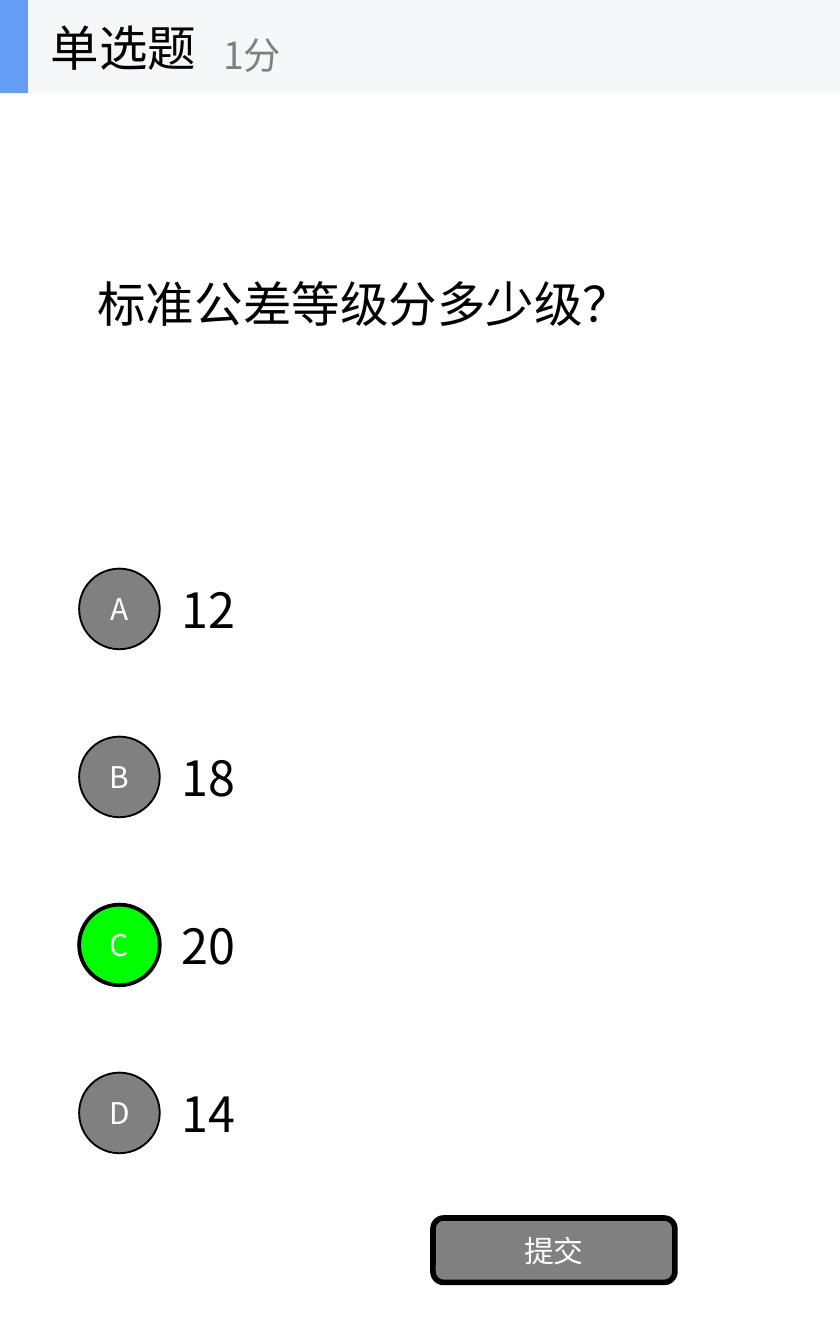
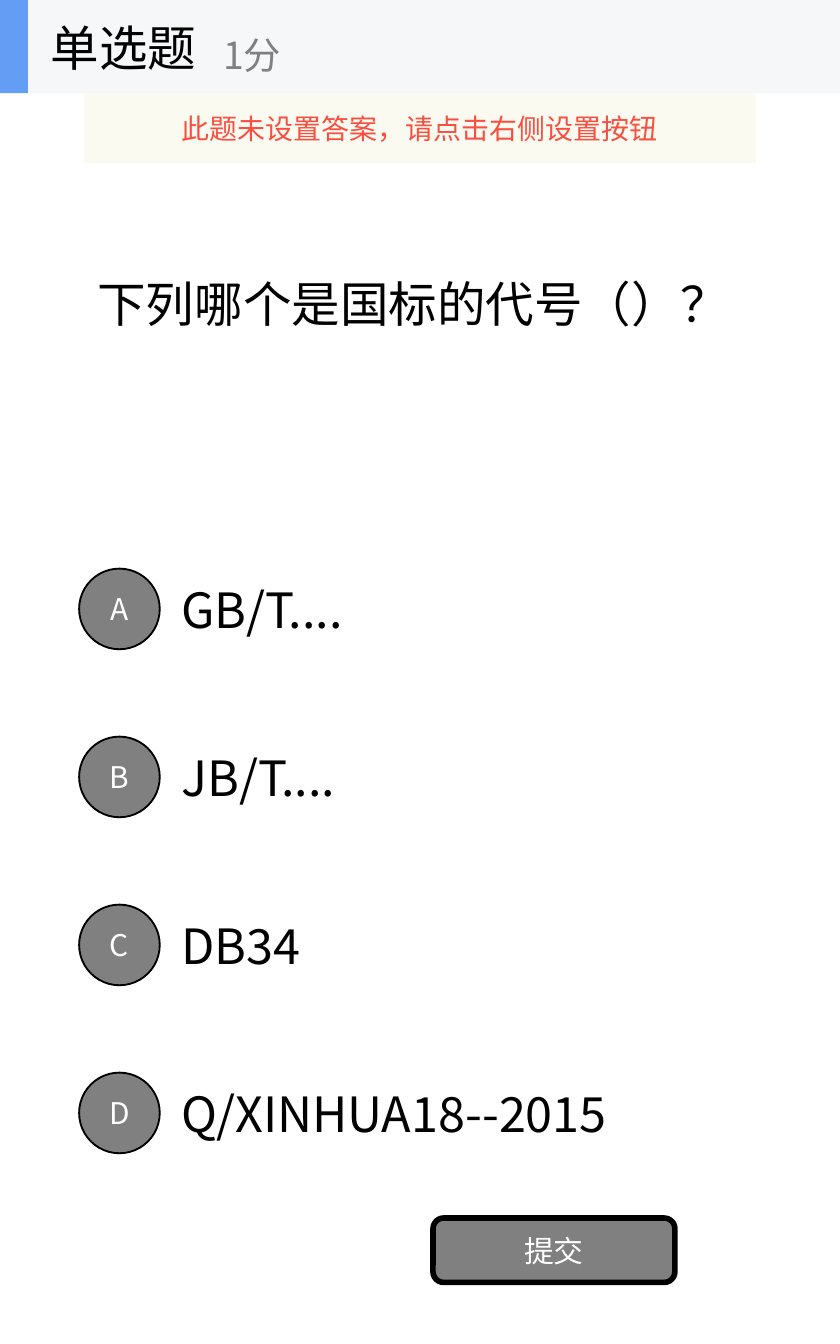
import dataclasses
import typing

import lxml.etree
import pptx
import pptx.dml.color
import pptx.enum.shapes
import pptx.enum.text
import pptx.oxml.ns
import pptx.util

Pt = pptx.util.Pt
PRESET = pptx.enum.shapes.MSO_SHAPE
ALIGN = pptx.enum.text.PP_ALIGN

FONT = "Noto Sans CJK SC"
BLACK, WHITE, GREY = "000000", "FFFFFF", "808080"
BAND, ACCENT, CORRECT = "F6F7F8", "639EF4", "00FF00"
NOTICE_FILL, NOTICE_TEXT = "FBFAEF", "F84F41"

PAGE_WIDTH, PAGE_HEIGHT = 450, 720
BAND_HEIGHT = 50
MARGIN = 45
ANSWER_LEFT, ANSWER_TOP, ANSWER_PITCH = 90, 292.5, 90
ANSWER_WIDTH, ANSWER_HEIGHT = 315, 67.5
BADGE_LEFT, BADGE_SIZE = 42.4, 43.2


class Box(typing.NamedTuple):
    left: float
    top: float
    width: float
    height: float

    def lengths(self) -> list:
        return [Pt(value) for value in self]


@dataclasses.dataclass
class Label:
    text: str
    size: float
    color: str = BLACK
    align: typing.Any = ALIGN.LEFT


@dataclasses.dataclass
class Question:
    prompt: str
    answers: list[str]
    correct: str = ""
    notice: str = ""


QUESTIONS = [
    Question("标准公差等级分多少级？", ["12", "18", "20", "14"], correct="C"),
    Question(
        "下列哪个是国标的代号（）？",
        ["GB/T....", "JB/T....", "DB34", "Q/XINHUA18--2015"],
        notice="此题未设置答案，请点击右侧设置按钮",
    ),
]


def rgb(color: str) -> pptx.dml.color.RGBColor:
    return pptx.dml.color.RGBColor.from_string(color)


def write(shape, label: Label) -> None:
    frame = shape.text_frame
    frame.auto_size = pptx.enum.text.MSO_AUTO_SIZE.NONE
    frame.word_wrap = True
    frame.vertical_anchor = pptx.enum.text.MSO_ANCHOR.MIDDLE
    paragraph = frame.paragraphs[0]
    paragraph.alignment = label.align
    run = paragraph.add_run()
    run.text = label.text
    run.font.size = Pt(label.size)
    run.font.name = FONT
    run.font.color.rgb = rgb(label.color)
    east_asian = lxml.etree.SubElement(run.font._element, pptx.oxml.ns.qn("a:ea"))
    east_asian.set("typeface", FONT)


def add_text(shapes, box: Box, label: Label) -> None:
    write(shapes.add_textbox(*box.lengths()), label)


def add_panel(shapes, preset, box: Box, fill: str, outline: float = 0,
              label: Label | None = None):
    panel = shapes.add_shape(preset, *box.lengths())
    panel.shadow.inherit = False
    panel.fill.solid()
    panel.fill.fore_color.rgb = rgb(fill)
    if outline:
        panel.line.color.rgb = rgb(BLACK)
        panel.line.width = Pt(outline)
    else:
        panel.line.fill.background()
    if label:
        write(panel, label)
    return panel


def add_header(slide) -> None:
    header = slide.shapes.add_group_shape().shapes
    add_panel(header, PRESET.RECTANGLE, Box(0, 0, PAGE_WIDTH, BAND_HEIGHT), BAND)
    add_panel(header, PRESET.RECTANGLE, Box(0, 0, 15, BAND_HEIGHT), ACCENT)
    add_text(header, Box(20, 0, 150, BAND_HEIGHT), Label("单选题", 26))
    add_text(header, Box(112.5, 9, 180, 40.5), Label("1分", 20, GREY))


def add_answers(slide, question: Question) -> None:
    tops = [ANSWER_TOP + ANSWER_PITCH * row for row in range(len(question.answers))]
    for top, answer in zip(tops, question.answers):
        add_text(slide.shapes, Box(ANSWER_LEFT, top, ANSWER_WIDTH, ANSWER_HEIGHT),
                 Label(answer, 26))
    for top, letter in zip(tops, "ABCD"):
        badge_top = top + (ANSWER_HEIGHT - BADGE_SIZE) / 2
        is_correct = letter == question.correct
        badge = add_panel(slide.shapes, PRESET.OVAL,
                          Box(BADGE_LEFT, badge_top, BADGE_SIZE, BADGE_SIZE),
                          CORRECT if is_correct else GREY, 2 if is_correct else 1,
                          Label(letter, 16, WHITE, ALIGN.CENTER))
        badge.text_frame.margin_left = badge.text_frame.margin_right = 0


def add_notice(slide, notice: str) -> None:
    banner = add_panel(slide.shapes, PRESET.RECTANGLE,
                       Box(MARGIN, BAND_HEIGHT, PAGE_WIDTH - 2 * MARGIN, 37.5),
                       NOTICE_FILL, label=Label(notice, 15, NOTICE_TEXT, ALIGN.CENTER))
    tint = banner.fill._xPr.find(".//" + pptx.oxml.ns.qn("a:srgbClr"))
    lxml.etree.SubElement(tint, pptx.oxml.ns.qn("a:alpha")).set("val", "90000")


def add_question(deck, question: Question) -> None:
    slide = deck.slides.add_slide(deck.slide_layouts[5])
    prompt = slide.shapes.title
    prompt.left, prompt.top, prompt.width, prompt.height = Box(
        MARGIN, BAND_HEIGHT, PAGE_WIDTH - 2 * MARGIN, 225).lengths()
    write(prompt, Label(question.prompt, 26))
    add_answers(slide, question)
    add_panel(slide.shapes, PRESET.ROUNDED_RECTANGLE, Box(232, 652.5, 129.6, 34.5),
              GREY, 3, Label("提交", 16, WHITE, ALIGN.CENTER))
    add_header(slide)
    if question.notice:
        add_notice(slide, question.notice)


def main() -> None:
    deck = pptx.Presentation()
    deck.slide_width, deck.slide_height = Pt(PAGE_WIDTH), Pt(PAGE_HEIGHT)
    for question in QUESTIONS:
        add_question(deck, question)
    deck.save("out.pptx")


if __name__ == "__main__":
    main()
